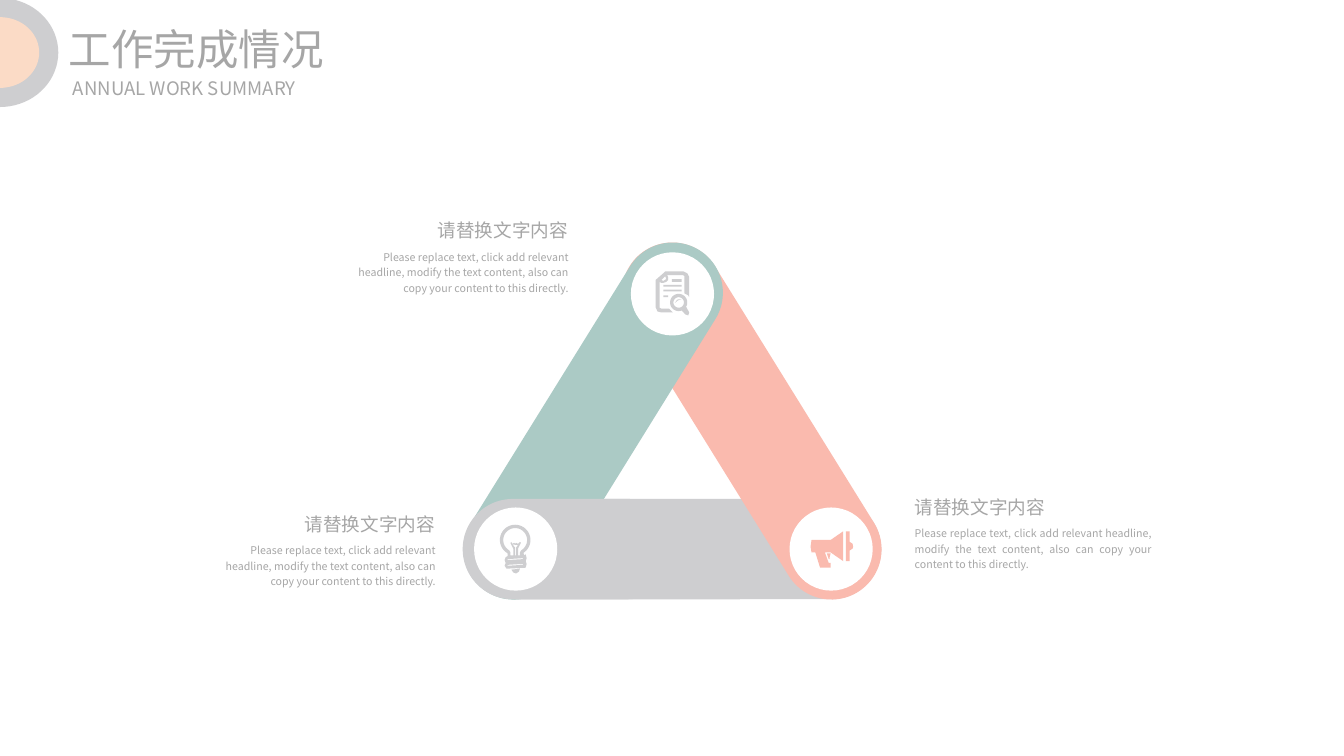
import math

import lxml.etree
import pptx
import pptx.dml.color
import pptx.enum.shapes
import pptx.enum.text
import pptx.oxml.ns
import pptx.util

COLUMNS, ROWS = 140.6, 79.1
COLORS = {"grey": "CECED0", "coral": "FABAAE", "teal": "ABCAC5",
          "peach": "FBDBC6", "white": "FFFFFF", "text": "A6A6A6"}
SHAPES = pptx.enum.shapes.MSO_SHAPE
ALIGN = pptx.enum.text.PP_ALIGN
HEADING = "请替换文字内容"
BODY = ("Please replace text, click add relevant headline, modify the text content, "
        "also can copy your content to this directly.")


def arc(x, y, rx, ry, start, end, steps=36):
    angles = [math.radians(start + (end - start) * i / steps) for i in range(steps + 1)]
    return [(x + rx * math.cos(a), y + ry * math.sin(a)) for a in angles]


def box(left, top, right, bottom):
    return [(left, top), (right, top), (right, bottom), (left, bottom)]


class Board:
    font = "Noto Sans CJK SC"

    def __init__(self, deck):
        self.slide = deck.slides.add_slide(deck.slide_layouts[6])
        self.column = deck.slide_width / COLUMNS
        self.row = deck.slide_height / ROWS

    def place(self, x, y):
        return round(x * self.column), round(y * self.row)

    def paint(self, shape, color):
        shape.shadow.inherit = False
        shape.fill.solid()
        shape.fill.fore_color.rgb = pptx.dml.color.RGBColor.from_string(COLORS[color])
        shape.line.fill.background()

    def bar(self, x, y, width, height, color, rotation=0):
        bar = self.slide.shapes.add_shape(
            SHAPES.ROUNDED_RECTANGLE, *self.place(x, y), *self.place(width, height))
        bar.adjustments[0] = 0.5
        bar.rotation = rotation
        self.paint(bar, color)

    def disc(self, x, y, size, color):
        disc = self.slide.shapes.add_shape(
            SHAPES.OVAL, *self.place(x, y), *self.place(size, size))
        self.paint(disc, color)

    def outline(self, contours, color):
        builder = None
        for contour in contours:
            start, *rest = [self.place(x, y) for x, y in contour]
            if builder is None:
                builder = self.slide.shapes.build_freeform(*start, scale=1.0)
            else:
                builder.move_to(*start)
            builder.add_line_segments(rest, close=True)
        self.paint(builder.convert_to_shape(), color)

    def text(self, x, y, width, height, words, size, align=ALIGN.LEFT, spacing=1.2, flush=False):
        area = self.slide.shapes.add_textbox(*self.place(x, y), *self.place(width, height))
        frame = area.text_frame
        frame.word_wrap = True
        frame.auto_size = pptx.enum.text.MSO_AUTO_SIZE.SHAPE_TO_FIT_TEXT
        if flush:
            frame.margin_left = frame.margin_right = frame.margin_top = frame.margin_bottom = 0
            frame.vertical_anchor = pptx.enum.text.MSO_ANCHOR.MIDDLE
        paragraph = frame.paragraphs[0]
        paragraph.text = words
        paragraph.alignment = align
        paragraph.line_spacing = spacing
        paragraph.font.size = pptx.util.Pt(size)
        paragraph.font.color.rgb = pptx.dml.color.RGBColor.from_string(COLORS["text"])
        paragraph.font.name = self.font
        defaults = paragraph._p.pPr.find(pptx.oxml.ns.qn("a:defRPr"))
        lxml.etree.SubElement(defaults, pptx.oxml.ns.qn("a:ea"), typeface=self.font)


REPORT = [
    [(69.6, 28.4), (71.5, 28.4), (71.9, 28.6), (72.1, 29), (72.1, 31.1), (72, 30.9),
     (71.6, 30.7), (71.6, 28.9), (71.5, 28.8), (69.8, 28.8), (69.9, 29), (69.9, 29.3),
     (69.7, 29.5), (69.4, 29.6), (69.2, 29.6), (69, 29.5), (69, 32.2), (69.2, 32.3),
     (70, 32.3), (70.4, 32.7), (69.2, 32.7), (68.8, 32.6), (68.6, 32.2), (68.6, 29.3),
     (68.7, 29.2), (69.5, 28.5)],
    [(69.6, 28.9), (69.2, 29.3), (69.4, 29.4), (69.7, 29.2)],
    box(70.3, 29.2, 71.3, 29.5),
    box(69.4, 29.8, 71.3, 30),
    box(69.4, 30.3, 71.3, 30.5),
    box(69.4, 30.9, 69.9, 31.1),
    arc(71, 31.65, 0.9, 0.9, 70, 390) + [(72.1, 32.7), (72, 33), (71.7, 32.9)],
    arc(71, 31.65, 0.55, 0.55, 0, 360),
    [(70.6, 31.7), (70.85, 31.35), (71.3, 31.3), (70.9, 31.45)],
]
BULB = [
    arc(53.9, 56.5, 1.6, 1.6, 120, 420)
    + [(54.8, 57.9), (54.8, 58.1), (55, 58), (55.1, 58.4), (55, 58.7), (55.1, 59),
       (55, 59.4), (53, 59.5), (52.8, 59.2), (52.9, 58.9), (52.8, 58.6), (52.9, 58.3),
       (53.1, 58.2)],
    arc(53.9, 56.5, 1.25, 1.25, 120, 420)
    + [(54.4, 57.8), (54.4, 58.1), (54.2, 58.1), (54.2, 57.4), (54.5, 56.8), (54.4, 56.7),
       (54.2, 56.9), (54, 56.8), (53.9, 56.9), (53.8, 56.8), (53.6, 56.9), (53.5, 56.7),
       (53.4, 56.8), (53.7, 57.4), (53.7, 58.1), (53.4, 58.1), (53.4, 57.8)],
    [(53.6, 56.95), (53.9, 57.3), (53.9, 58.1), (54, 58.1), (54, 57.3), (54.2, 57),
     (53.9, 57)],
    *[[(54.7, y), (53.1, y + 0.1), (53.1, y + 0.2), (54.7, y + 0.1)] for y in (58.4, 59)],
    [(54.4, 59.5), (53.5, 59.6), (53.7, 59.9), (54, 60), (54.3, 59.8)],
]
MEGAPHONE = [
    [(84.9, 56.5), (86.9, 56.5), (88.2, 55.6), (88.2, 58.7), (86.9, 57.8), (86.3, 57.8),
     (86.7, 58.9), (86.9, 58.9), (86.9, 59.4), (85.8, 59.4), (85.3, 57.8), (84.9, 57.8),
     (84.8, 57.2)],
    [(88.9, 56.7), (89.2, 56.9), (89.25, 57.2), (89.2, 57.4), (88.9, 57.6), (88.9, 58.7),
     (88.5, 58.7), (88.5, 55.6), (88.9, 55.6)],
    [(86.9, 57.9), (86.5, 57.9), (86.7, 58.5), (86.8, 58.5), (86.8, 58.3)],
]


def main():
    deck = pptx.Presentation()
    deck.slide_width = pptx.util.Inches(14.06)
    deck.slide_height = pptx.util.Inches(7.91)
    board = Board(deck)

    board.bar(48.6, 52.2, 43.6, 10.5, "grey")
    board.bar(57.6, 38.8, 42.1, 10.5, "coral", 58.2)
    board.bar(41, 38.8, 42.1, 10.5, "teal", 301.8)
    board.bar(48.4, 52.2, 22.5, 10.5, "grey")

    for x, y, icon, color in ((66, 26.4, REPORT, "grey"), (49.6, 53.1, BULB, "grey"),
                              (82.6, 53.1, MEGAPHONE, "coral")):
        board.disc(x, y, 8.7, "white")
        board.outline(icon, color)

    for x, y, width, body_x, body_width, heading_align, body_align in (
            (94.7, 50.9, 16.1, 94.7, 26.8, ALIGN.LEFT, ALIGN.JUSTIFY),
            (44.2, 22, 16.2, 34.6, 25.9, ALIGN.RIGHT, ALIGN.RIGHT),
            (28.6, 52.7, 17.9, 20.7, 25.9, ALIGN.RIGHT, ALIGN.RIGHT)):
        board.text(x, y, width, 3.6, HEADING, 14, heading_align)
        board.text(body_x, y + 3.5, body_width, 5.9, BODY, 8, body_align)

    board.text(7.2, 2.4, 43.2, 5.4, "工作完成情况", 32, spacing=1.0, flush=True)
    board.text(7.2, 8, 30.7, 2.4, " ANNUAL WORK SUMMARY", 14, spacing=1.0, flush=True)

    for width, height, color in ((6.1, 5.7, "grey"), (4.1, 3.7, "peach")):
        board.outline([arc(0, 5.5, width, height, -90, 90)], color)

    deck.save("out.pptx")


if __name__ == "__main__":
    main()
